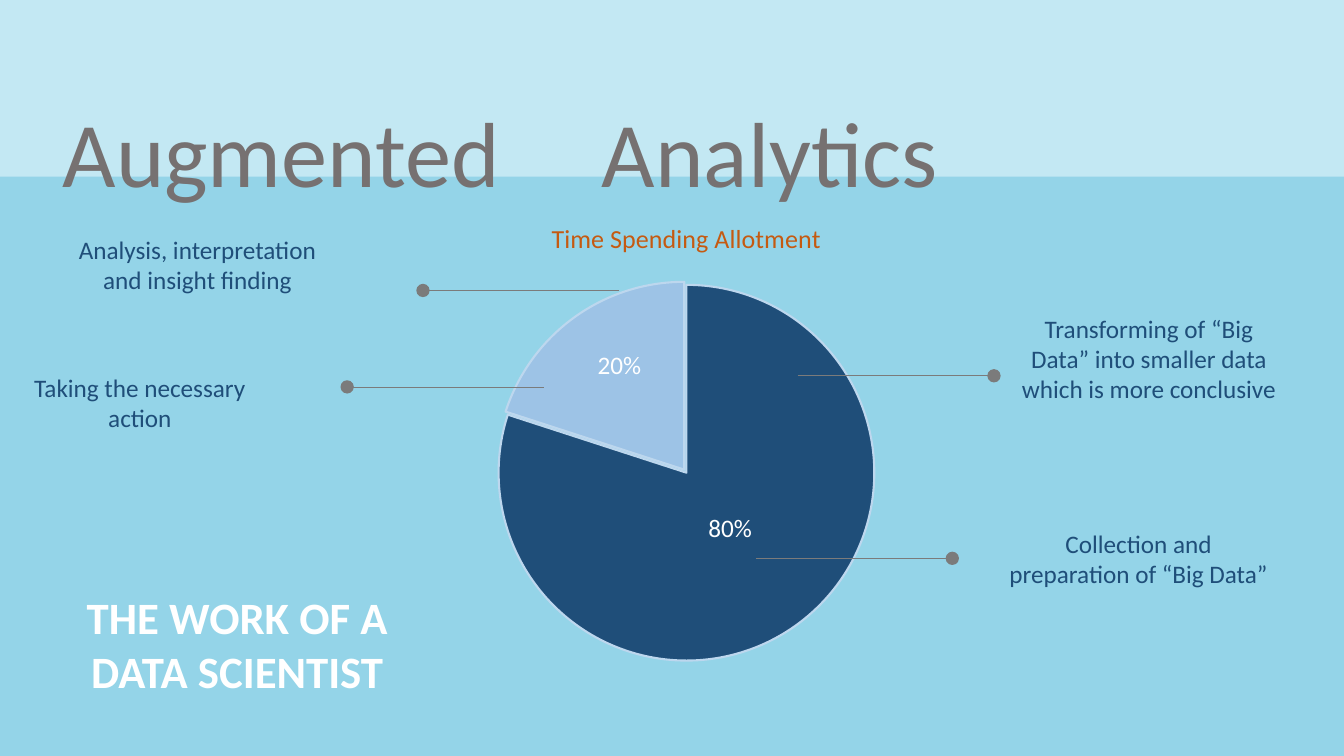
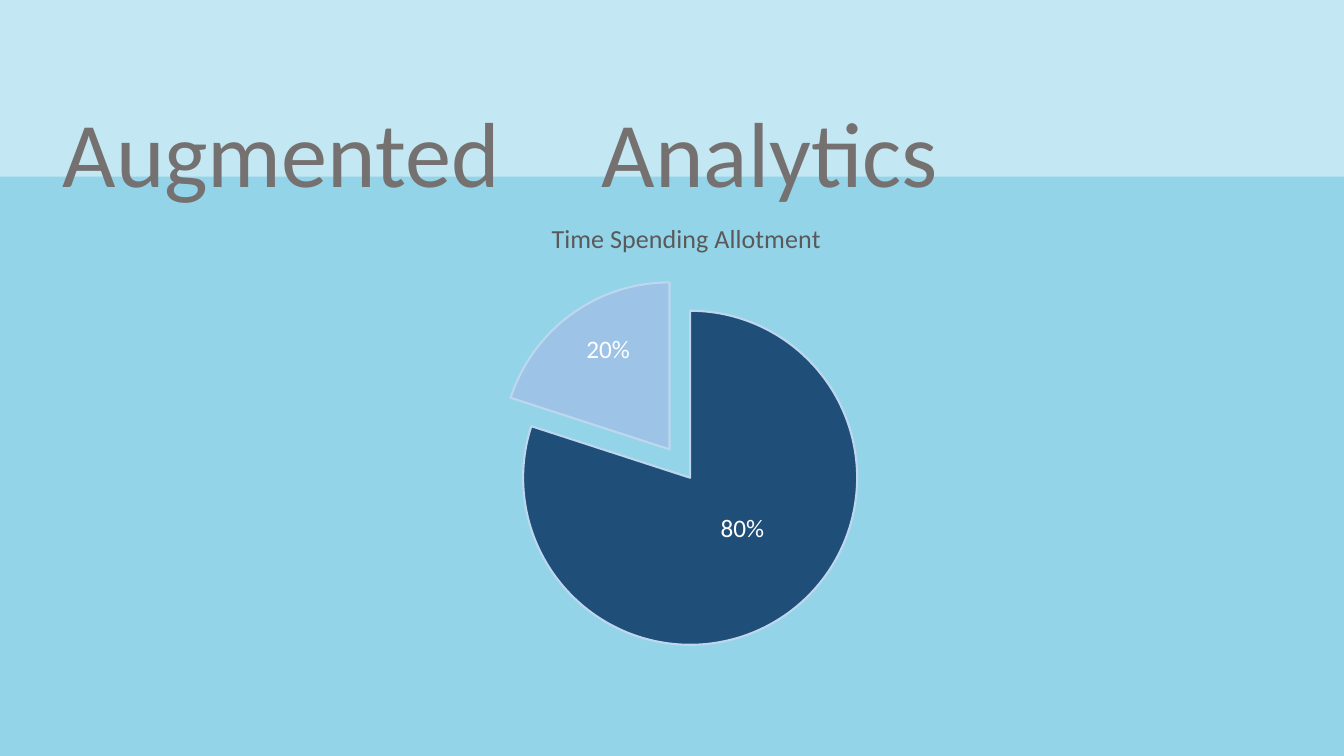
from dataclasses import dataclass

import pptx
import pptx.chart.data
import pptx.dml.color
import pptx.enum.chart
import pptx.enum.shapes
import pptx.enum.text
import pptx.oxml
import pptx.oxml.ns
import pptx.util

Cm = pptx.util.Cm
Pt = pptx.util.Pt
qn = pptx.oxml.ns.qn

FONT = "Calibri"
WIDE, HIGH = 33.87, 19.05
PALE, SKY = "C3E8F3", "94D4E8"
GREY, DOT = "767171", "7B7B7B"
NAVY, BLUE, RIM = "1F4E79", "9DC3E6", "BDD7EE"
WHITE = "FFFFFF"


@dataclass
class Box:
    left: float
    top: float
    width: float
    height: float

    def place(self) -> tuple:
        return Cm(self.left), Cm(self.top), Cm(self.width), Cm(self.height)


@dataclass
class Style:
    size: float
    color: str
    bold: bool = False


@dataclass
class Label:
    text: str
    box: Box
    style: Style


@dataclass
class Lead:
    """A dot with a level line; reach is negative when the line runs left."""
    x: float
    y: float
    reach: float


@dataclass
class Page:
    """Span is the pie's diameter; burst holds the offset of each slice in percent."""
    tint: str
    span: float
    burst: tuple
    labels: list
    leads: list


HEAD = Style(66, GREY)
NOTE = Style(18, NAVY)
SHARE = Style(18, WHITE)
BANNER = Style(32, WHITE, True)

BANDS = [(Box(0, 0, WIDE, 5.08), PALE), (Box(0, 4.45, WIDE, HIGH - 4.45), SKY)]
HEADS = [Label("Augmented", Box(1.09, 2.26, 12, 3.07), HEAD),
         Label("Analytics", Box(13.41, 2.27, 12, 3.07), HEAD)]
PIE = Box(7.62, 5.08, 19.25, 11.96)
MID_X, MID_Y = 0.5, 0.565


def note(text: str, left: float, top: float) -> Label:
    return Label(text, Box(left, top, 6.75, 2.57), NOTE)


def share(text: str, left: float, top: float) -> Label:
    return Label(text, Box(left, top, 2.46, 1.02), SHARE)


REACH = 4.95
PAGES = [
    Page("C55A11", 9.47, (2, 0), [
        note("Collection and preparation of “Big Data”", 25.32, 13.18),
        note("Transforming of “Big Data” into smaller data which is more conclusive",
             25.58, 7.77),
        note("Taking the necessary action", 0.15, 9.25),
        note("Analysis, interpretation and insight finding", 1.6, 5.77),
        share("80%", 17.17, 12.78),
        share("20%", 14.38, 8.69),
        Label("THE WORK OF A DATA SCIENTIST", Box(1.03, 14.73, 9.9, 3), BANNER),
    ], [
        Lead(8.75, 9.75, REACH),
        Lead(24, 14.07, -REACH),
        Lead(25.05, 9.47, -REACH),
        Lead(10.66, 7.32, REACH),
    ]),
    Page("595959", 8.42, (6, 15), [
        share("80%", 17.48, 12.78),
        share("20%", 14.1, 8.28),
    ], []),
]


def rgb(code: str):
    return pptx.dml.color.RGBColor.from_string(code)


def paint(shape, color: str) -> None:
    shape.shadow.inherit = False
    shape.fill.solid()
    shape.fill.fore_color.rgb = rgb(color)
    shape.line.fill.background()


def add_run(para, text: str, style: Style) -> None:
    run = para.add_run()
    run.text = text
    run.font.name = FONT
    run.font.size = Pt(style.size)
    run.font.bold = style.bold
    run.font.color.rgb = rgb(style.color)


def write(shape, label: Label) -> None:
    shape.left, shape.top, shape.width, shape.height = label.box.place()
    frame = shape.text_frame
    frame.word_wrap = True
    frame.auto_size = pptx.enum.text.MSO_AUTO_SIZE.NONE
    frame.vertical_anchor = pptx.enum.text.MSO_ANCHOR.TOP
    frame.margin_left = frame.margin_right = 0
    para = frame.paragraphs[0]
    para.alignment = pptx.enum.text.PP_ALIGN.CENTER
    add_run(para, label.text, label.style)


def add_label(slide, label: Label) -> None:
    write(slide.shapes.add_textbox(*label.box.place()), label)


def add_base(slide) -> None:
    """Put the bands behind the title, then write both title words."""
    title = slide.shapes.title
    for box, color in BANDS:
        band = slide.shapes.add_shape(
            pptx.enum.shapes.MSO_SHAPE.RECTANGLE, *box.place())
        paint(band, color)
        title.element.addprevious(band.element)
    write(title, HEADS[0])
    add_label(slide, HEADS[1])


def add_lead(slide, lead: Lead) -> None:
    group = slide.shapes.add_group_shape()
    size = 0.3
    spot = Box(lead.x - size / 2, lead.y - size / 2, size, size)
    dot = group.shapes.add_shape(pptx.enum.shapes.MSO_SHAPE.OVAL, *spot.place())
    paint(dot, DOT)
    dot.line.color.rgb = rgb(DOT)
    dot.line.width = Pt(1)
    line = group.shapes.add_connector(
        pptx.enum.shapes.MSO_CONNECTOR.STRAIGHT,
        Cm(lead.x + lead.reach), Cm(lead.y), Cm(lead.x), Cm(lead.y))
    line.line.color.rgb = rgb(DOT)
    line.line.width = Pt(0.5)
    props = line.element.find(qn("p:spPr"))
    props.append(pptx.oxml.parse_xml(
        f"<a:effectLst {pptx.oxml.ns.nsdecls('a')}/>"))


def make_layout(**parts):
    """Build a manual chart layout from its parts, in schema order."""
    inner = "".join(f'<c:{key} val="{val}"/>' for key, val in parts.items())
    return pptx.oxml.parse_xml(
        f"<c:layout {pptx.oxml.ns.nsdecls('c')}>"
        f"<c:manualLayout>{inner}</c:manualLayout></c:layout>")


def drop_layout(node) -> None:
    for old in node.findall(qn("c:layout")):
        node.remove(old)


def add_pie(slide, page: Page) -> None:
    data = pptx.chart.data.CategoryChartData()
    data.categories = ["1", "2"]
    data.add_series("Series 1", (80, 20))
    chart = slide.shapes.add_chart(
        pptx.enum.chart.XL_CHART_TYPE.PIE, *PIE.place(), data).chart
    chart.font.name = FONT
    chart.font.size = Pt(10)
    chart.has_legend = False
    chart.has_title = True
    add_run(chart.chart_title.text_frame.paragraphs[0],
            "Time Spending Allotment", Style(18.6, page.tint))

    plot = chart.plots[0]
    plot.vary_by_categories = True
    for index, color in enumerate((NAVY, BLUE)):
        form = plot.series[0].points[index].format
        form.fill.solid()
        form.fill.fore_color.rgb = rgb(color)
        form.line.color.rgb = rgb(RIM)
        form.line.width = Pt(1.5)

    root = chart.element
    for point, burst in zip(root.xpath("//c:dPt"), page.burst):
        point.find(qn("c:spPr")).addprevious(pptx.oxml.parse_xml(
            f'<c:explosion {pptx.oxml.ns.nsdecls("c")} val="{burst}"/>'))

    title = root.xpath("c:chart/c:title")[0]
    drop_layout(title)
    title.find(qn("c:tx")).addnext(
        make_layout(xMode="edge", yMode="edge", x=0.32, y=0.03))
    area = root.xpath("c:chart/c:plotArea")[0]
    drop_layout(area)
    wide, high = page.span / PIE.width, page.span / PIE.height
    area.insert(0, make_layout(layoutTarget="inner", xMode="edge", yMode="edge",
                               x=MID_X - wide / 2, y=MID_Y - high / 2,
                               w=wide, h=high))


def main() -> None:
    deck = pptx.Presentation()
    deck.slide_width, deck.slide_height = Cm(WIDE), Cm(HIGH)
    for page in PAGES:
        slide = deck.slides.add_slide(deck.slide_layouts[5])
        add_base(slide)
        add_pie(slide, page)
        for lead in page.leads:
            add_lead(slide, lead)
        for label in page.labels:
            add_label(slide, label)
    deck.save("out.pptx")


if __name__ == "__main__":
    main()
